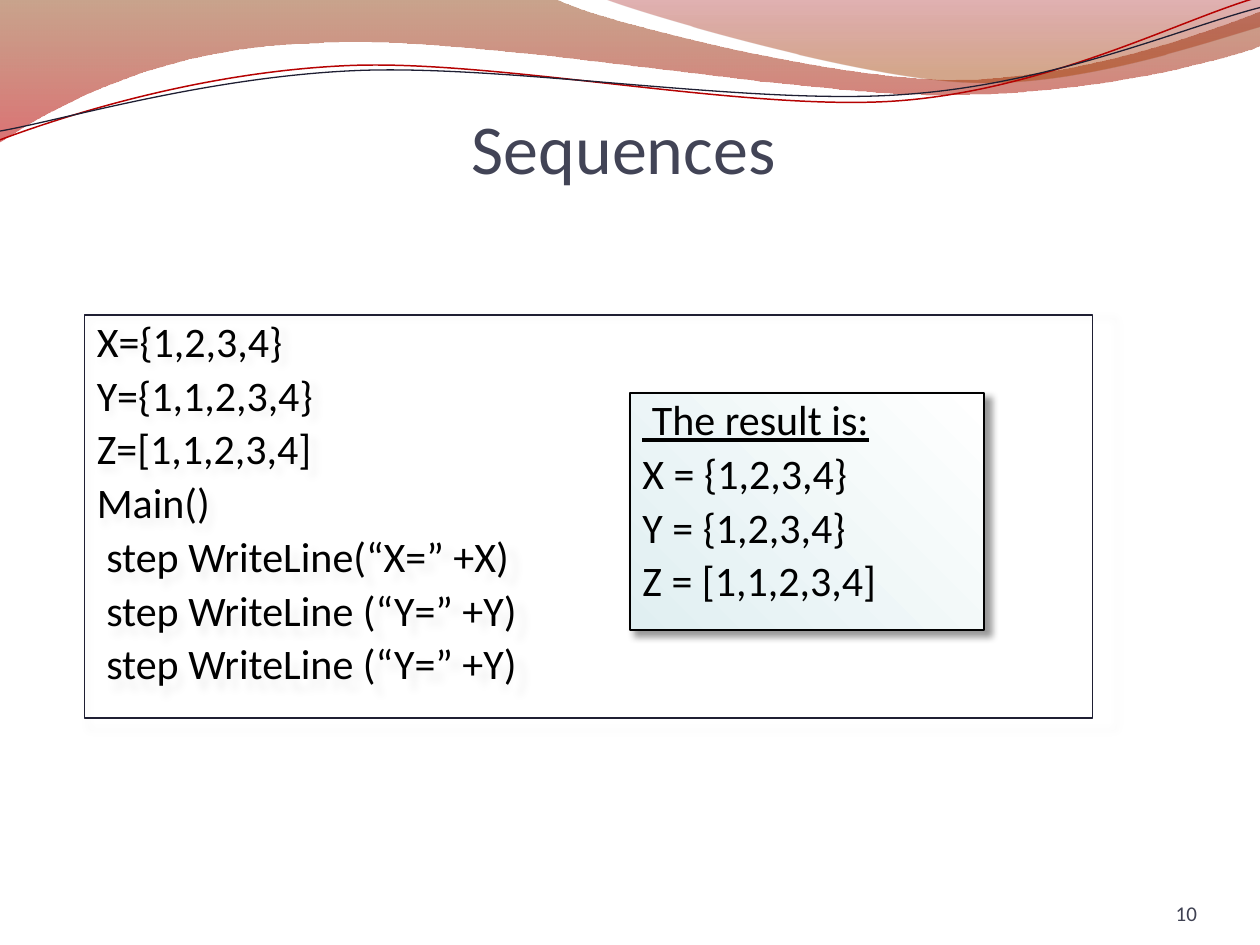
import math
from lxml import etree
from pptx import Presentation, util as u
from pptx.dml.color import RGBColor
from pptx.enum import shapes, text
from pptx.oxml import parse_xml
from pptx.oxml.ns import qn

PX = 9144
NS = 'xmlns:a="http://schemas.openxmlformats.org/drawingml/2006/main"'
C = {"brown": "883400", "red": "BD0000", "maroon": "9A0000", "rust": "A23E00",
     "red_line": "B60202", "navy": "1F1F33", "title": "424456", "number": "3F4152",
     "black": "000000", "mist": "E0EFF1", "white": "FFFFFF"}


def write(tf, lines, size, color, align="LEFT", anchor="TOP", insets=(10, 5, 10, 5),
          hanging=False, underline_first=False):
    tf.word_wrap = True
    tf.auto_size = text.MSO_AUTO_SIZE.NONE
    tf.vertical_anchor = text.MSO_ANCHOR[anchor]
    tf.margin_left, tf.margin_top, tf.margin_right, tf.margin_bottom = [i * PX for i in insets]
    for i, line in enumerate(lines):
        p = tf.paragraphs[0] if i == 0 else tf.add_paragraph()
        p.alignment = text.PP_ALIGN[align]
        if hanging:
            pPr = p._p.get_or_add_pPr()
            pPr.set("marL", str(38 * PX))
            pPr.set("indent", str(-38 * PX))
            p.line_spacing = 0.9
            if i:
                p.space_before = u.Pt(4.8)
        r = p.add_run()
        r.text = line
        r.font.name, r.font.size = "Calibri", u.Pt(size)
        r.font.color.rgb = RGBColor.from_string(C[color])
        if underline_first and i == 0:
            r.font.underline = True


def paint(sp, stops=None, angle=0, line=None, width=0.75, shadow=None, spread=100):
    sp.shadow.inherit = False
    if stops:
        sp.fill.gradient()
        grad = sp._element.spPr.find(qn("a:gradFill"))
        gs = "".join(f'<a:gs pos="{pos * 1000}"><a:srgbClr val="{C[c]}">'
                     f'<a:alpha val="{alpha * 1000}"/></a:srgbClr></a:gs>'
                     for pos, c, alpha in stops)
        new = parse_xml(f'<a:gradFill {NS} rotWithShape="1"><a:gsLst>{gs}</a:gsLst>'
                        f'<a:lin ang="{angle * 60000}" scaled="0"/></a:gradFill>')
        grad.getparent().replace(grad, new)
    else:
        sp.fill.background()
    if line:
        sp.line.color.rgb = RGBColor.from_string(C[line])
        sp.line.width = u.Pt(width)
    else:
        sp.line.fill.background()
    if shadow:
        effects = sp._element.spPr.find(qn("a:effectLst"))
        outer = etree.SubElement(effects, qn("a:outerShdw"), blurRad=str(u.Pt(4)),
                                 dist=str(u.Pt(3)), dir="2700000", sx=str(spread * 1000),
                                 sy=str(spread * 1000), algn="tl", rotWithShape="0")
        clr = etree.SubElement(outer, qn("a:srgbClr"), val=C["black"])
        etree.SubElement(clr, qn("a:alpha"), val=str(shadow * 1000))


prs = Presentation()
prs.slide_width, prs.slide_height = 1000 * PX, 750 * PX
s = prs.slides.add_slide(prs.slide_layouts[5])

TILT = -2.7
waves = [
    ([(0, 0), (440, -1), (476, 17, 664, 63, 758, 63), (853, 63, 958, 26, 1000, 9),
      (1001, 36), (983, 44, 870, 76, 746, 75), (622, 75, 382, 28, 257, 34),
      (129, 36, 46, 83, -1, 113), (0, 0)], 0,
     dict(stops=[(0, "brown", 45), (100, "red", 55)], angle=90)),
    ([(479, -1), (509, 11, 682, 62, 769, 65), (856, 69, 961, 32, 1000, 21),
      (1000, 0), (479, -1)], 0,
     dict(stops=[(0, "maroon", 30), (80, "rust", 45)], angle=90)),
    ([(0, 111), (48, 93, 158, 57, 277, 52), (395, 47, 593, 89, 713, 80),
      (833, 71, 938, 15, 998, -2)], TILT, dict(line="red_line", width=0.85)),
    ([(0, 104), (47, 96, 164, 61, 283, 56), (403, 51, 597, 84, 717, 75),
      (836, 67, 941, 21, 1000, 6)], TILT, dict(line="navy")),
]
for nodes, tilt, style in waves:
    cos, sin = math.cos(math.radians(-tilt)), math.sin(math.radians(-tilt))
    flat = [(n[i] - 499, n[i + 1] - 58) for n in nodes for i in range(0, len(n), 2)]
    pts = [(round((499 + x * cos - y * sin) * PX), round((58 + x * sin + y * cos) * PX))
           for x, y in flat]
    fb = s.shapes.build_freeform(*pts[0], scale=1.0)
    fb.add_line_segments(pts[1:], close="stops" in style)
    sp = fb.convert_to_shape()
    sp.rotation = tilt
    segments = iter(list(sp._element.iter(qn("a:lnTo"))))
    for node in nodes[1:]:
        first = next(segments)
        if len(node) == 6:
            first.tag = qn("a:cubicBezTo")
            for extra in (next(segments), next(segments)):
                first.append(extra[0])
                extra.getparent().remove(extra)
    paint(sp, **style)

number = s.shapes.add_textbox(867 * PX, 695 * PX, 83 * PX, 40 * PX)
write(number.text_frame, ["10"], 12, "number", align="RIGHT", anchor="BOTTOM", insets=(0, 0, 0, 0))

title = s.shapes.title
title.left, title.top, title.width, title.height = [v * PX for v in (45, 47, 900, 103)]
write(title.text_frame, ["Sequences"], 40, "title", align="CENTER", anchor="BOTTOM",
      insets=(0, 5, 0, 0))

code = ["X={1,2,3,4}", "Y={1,1,2,3,4}", "Z=[1,1,2,3,4]", "Main()",
        " step WriteLine(“X=” +X)", " step WriteLine (“Y=” +Y)", " step WriteLine (“Y=” +Y)"]
result = [" The result is:", "X = {1,2,3,4}", "Y = {1,2,3,4}", "Z = [1,1,2,3,4]"]
boxes = [
    ((67, 250, 800, 320), code, False, dict(line="navy", shadow=5, spread=102)),
    ((500, 312, 281, 188), result, True,
     dict(stops=[(0, "mist", 100), (100, "white", 100)], angle=315, line="black",
          shadow=40, spread=101)),
]
for place, lines, underlined, style in boxes:
    sp = s.shapes.add_shape(shapes.MSO_SHAPE.RECTANGLE, *[v * PX for v in place])
    paint(sp, **style)
    write(sp.text_frame, lines, 24, "black", hanging=True, underline_first=underlined)

prs.save("out.pptx")
